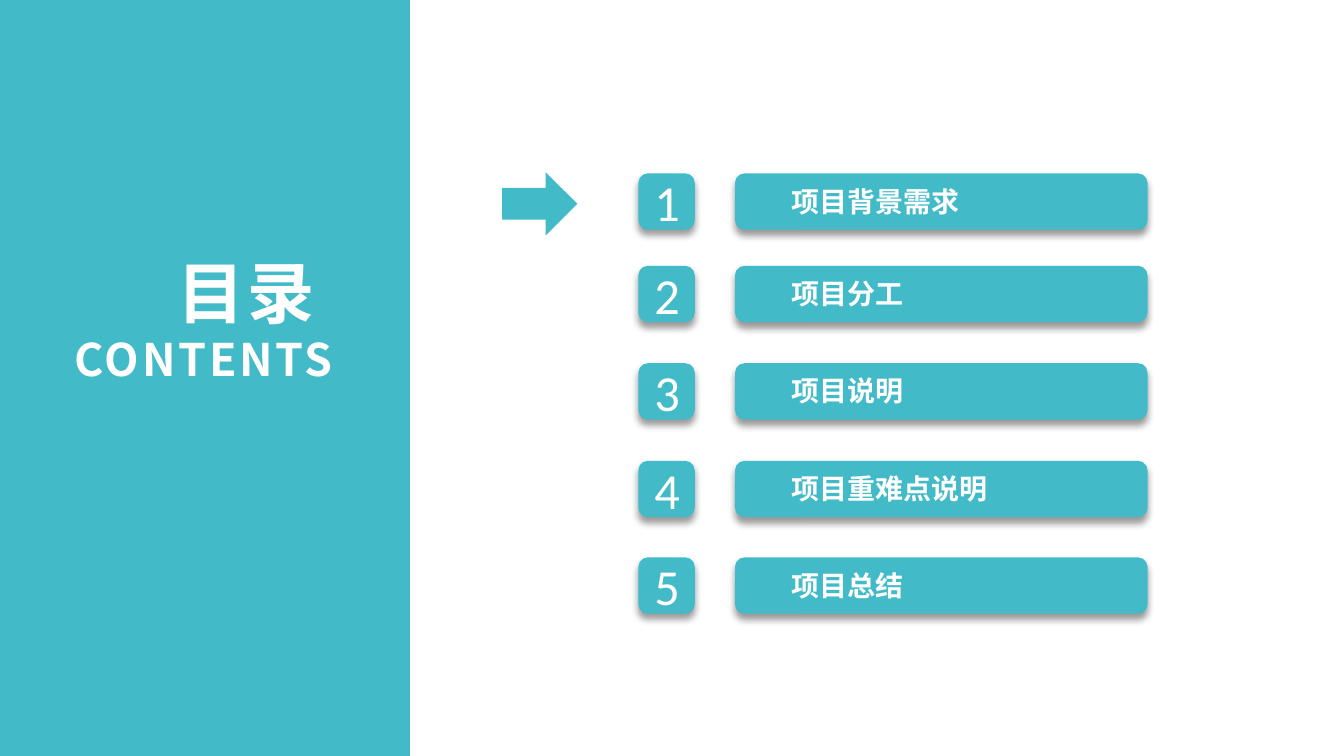
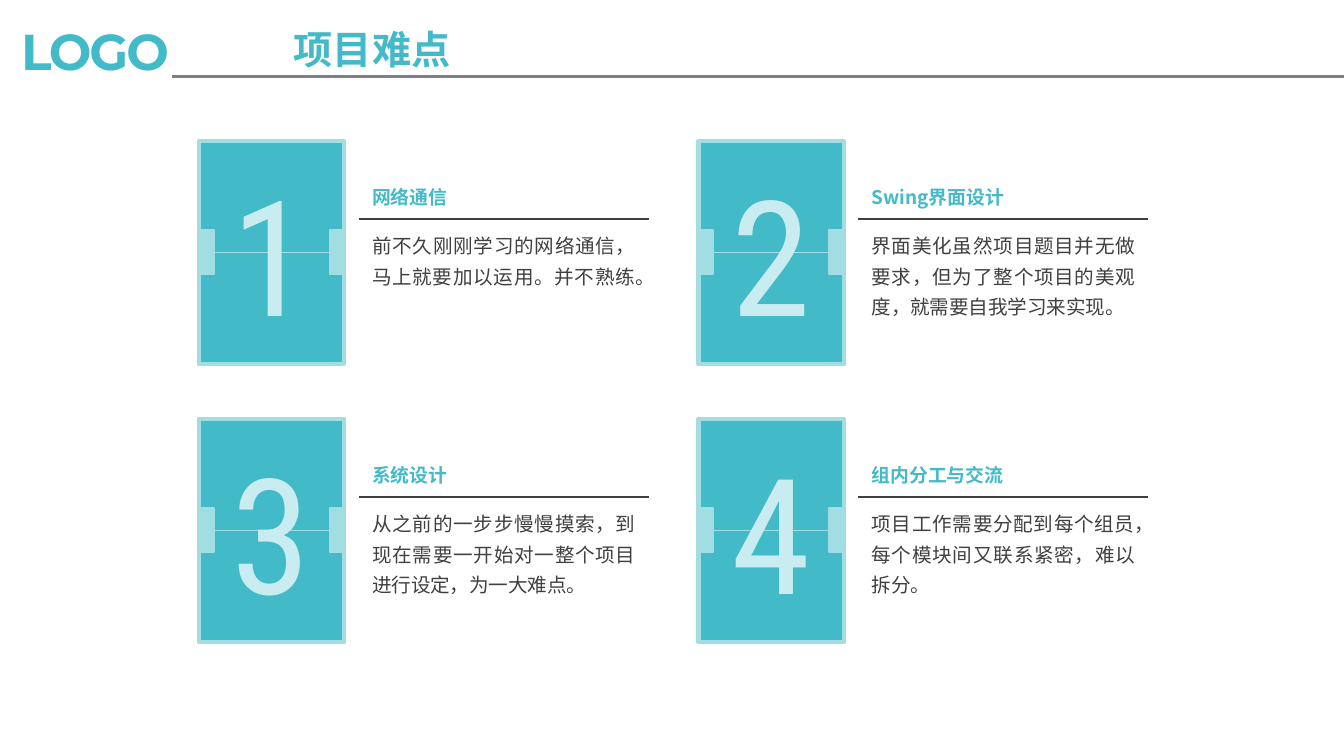
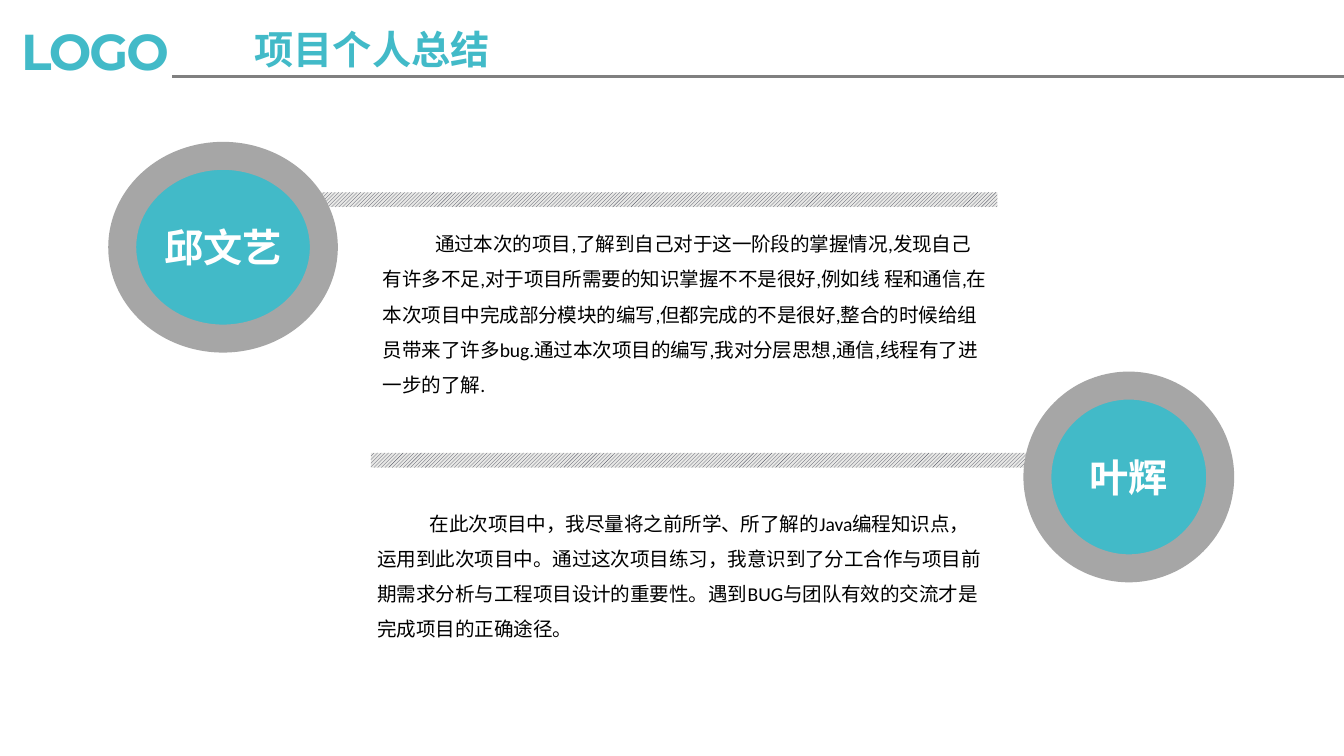
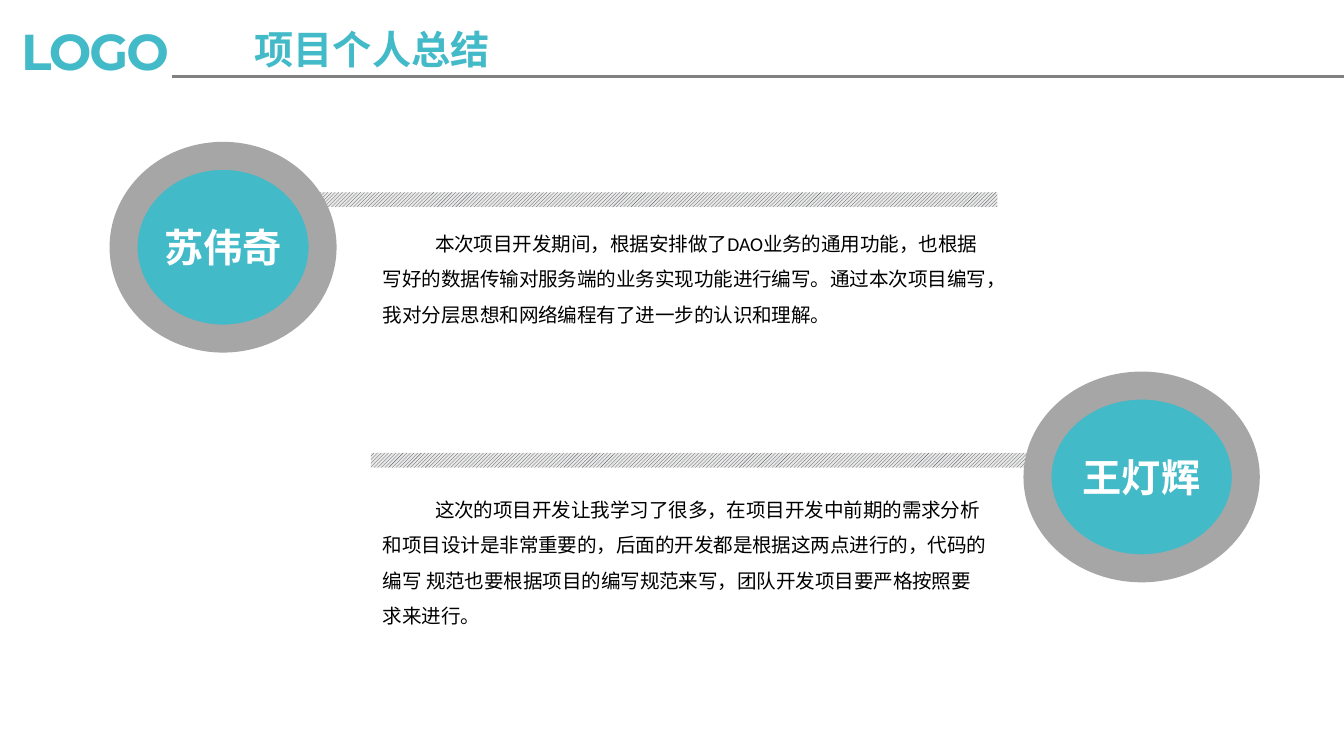
from lxml import etree
from pptx import Presentation
from pptx import util as u
from pptx.dml.color import RGBColor
from pptx.enum import dml, shapes, text
from pptx.oxml.ns import qn

COLORS = {
    "teal": "42BAC8", "heading": "44BAC8", "pale": "A1DDE3", "digit": "C8ECF0",
    "white": "FFFFFF", "black": "000000", "dark": "404040", "rule": "808080",
    "ring": "A6A6A6", "hatch": "414455", "hatch_back": "E8E8E6",
}
SANS = "Noto Sans CJK SC"
KIND = shapes.MSO_SHAPE
LINE = shapes.MSO_CONNECTOR.STRAIGHT
ALIGN = text.PP_ALIGN


def draw(slide, kind, box, fill=None, line=None, line_width=1):
    """Add a preset shape, a line (LINE) or a text box (None) at left, top, width, height."""
    left, top, width, height = [u.Pt(value) for value in box]
    if kind is None:
        return slide.shapes.add_textbox(left, top, width, height)
    if kind is LINE:
        shape = slide.shapes.add_connector(LINE, left, top, left + width, top + height)
    else:
        shape = slide.shapes.add_shape(kind, left, top, width, height)
        shape.shadow.inherit = False
        if fill:
            shape.fill.solid()
            shape.fill.fore_color.rgb = RGBColor.from_string(COLORS[fill])
    if line:
        shape.line.color.rgb = RGBColor.from_string(COLORS[line])
        shape.line.width = u.Pt(line_width)
    else:
        shape.line.fill.background()
    if kind is LINE:
        etree.SubElement(shape._element.spPr, qn("a:effectLst"))
    return shape


def write(shape, content, sizes, color, font=SANS, bold=False, align=ALIGN.LEFT,
          line_spacing=None, letter_spacing=None):
    """Fill a shape with text, one size per paragraph."""
    frame = shape.text_frame
    frame.word_wrap = True
    frame.text = content
    for paragraph, size in zip(frame.paragraphs, sizes):
        paragraph.alignment = align
        paragraph.line_spacing = line_spacing
        for run in paragraph.runs:
            run.font.size = u.Pt(size)
            run.font.bold = bold
            run.font.color.rgb = RGBColor.from_string(COLORS[color])
            run.font.name = font
            properties = run._r.get_or_add_rPr()
            etree.SubElement(properties, qn("a:ea")).set("typeface", SANS)
            if letter_spacing:
                properties.set("spc", str(round(letter_spacing * 100)))
    return frame


presentation = Presentation()
presentation.slide_width = u.Pt(720)
presentation.slide_height = u.Pt(405)
blank = presentation.slide_layouts[6]

# Contents slide: side panel and arrow
slide = presentation.slides.add_slide(blank)
draw(slide, KIND.RECTANGLE, (0, 0, 219.6, 405), "teal")
write(draw(slide, None, (20, 131, 165.6, 80)), "目录 \nCONTENTS", (36, 24), "white",
      bold=True, align=ALIGN.RIGHT, letter_spacing=1.5)
draw(slide, KIND.RIGHT_ARROW, (269, 92.2, 40.3, 34), "teal")

# Contents slide: numbered entries
entries = [("项目背景需求", 92.9), ("项目分工", 142.4), ("项目说明", 194.6),
           ("项目重难点说明", 246.9), ("项目总结", 298.6)]
for number, (label, top) in enumerate(entries, 1):
    badge = draw(slide, KIND.ROUNDED_RECTANGLE, (342, top, 30.2, 30.2), "teal")
    bar = draw(slide, KIND.ROUNDED_RECTANGLE, (393.8, top, 221, 30.2), "teal")
    for shape in (badge, bar):
        effects = shape._element.spPr.find(qn("a:effectLst"))
        shadow = etree.SubElement(effects, qn("a:outerShdw"), blurRad=str(u.Pt(4)),
                                  dist=str(u.Pt(3)), dir="5400000", rotWithShape="0")
        shadow_color = etree.SubElement(shadow, qn("a:srgbClr"), val=COLORS["black"])
        etree.SubElement(shadow_color, qn("a:alpha"), val="40000")
    write(badge, str(number), (27,), "white", "Calibri", align=ALIGN.CENTER)
    write(draw(slide, None, (416.9, top + 2.2, 161, 25.2)), label, (15,), "white", bold=True)

# Header shared by the content slides
content_slides = []
for title in ("项目难点", "项目个人总结", "项目个人总结"):
    slide = presentation.slides.add_slide(blank)
    write(draw(slide, None, (4.3, 7.2, 100.8, 40.3)), "LOGO", (27,), "teal", "Montserrat",
          bold=True, letter_spacing=-1.1)
    draw(slide, LINE, (92.2, 41, 627.8, 0), line="rule", line_width=2)
    write(draw(slide, None, (102.2, 10.1, 194.4, 32.4)), title, (21,), "teal", bold=True,
          align=ALIGN.CENTER)
    content_slides.append(slide)

# Difficulties: two by two grid of flip cards
difficulties = [
    ("网络通信", "前不久刚刚学习的网络通信，马上就要加以运用。并不熟练。"),
    ("Swing界面设计", "界面美化虽然项目题目并无做要求，但为了整个项目的美观度，就需要自我学习来实现。"),
    ("系统设计", "从之前的一步步慢慢摸索，到现在需要一开始对一整个项目进行设定，为一大难点。"),
    ("组内分工与交流", "项目工作需要分配到每个组员，每个模块间又联系紧密，难以拆分。"),
]
slide = content_slides[0]
for index, (heading, body) in enumerate(difficulties):
    row, column = divmod(index, 2)
    left, top = 106.6 + column * 267.6, 75.6 + row * 149
    draw(slide, KIND.RECTANGLE, (left, top, 77.8, 119.5), "teal", "pale", 2.25)
    for hinge_left in (left, left + 69.9):
        draw(slide, KIND.RECTANGLE, (hinge_left, top + 47.5, 7.9, 23.8), "pale", "pale")
    draw(slide, LINE, (left + 7.9, top + 59.5, 62, 0), line="pale", line_width=0.5)
    write(draw(slide, None, (left, top + 4.3, 77.8, 111.6)), str(index + 1), (86.2,), "digit",
          "Roboto Condensed", align=ALIGN.CENTER)

    text_left = left + 85.7
    draw(slide, LINE, (text_left, top + 41.7, 155.2, 0), line="dark")
    frame = write(draw(slide, None, (text_left, top + 21.6, 128.9, 18)), heading, (10.1,),
                  "heading", bold=True, align=ALIGN.JUSTIFY, line_spacing=0.9)
    frame.paragraphs[0].space_before = u.Pt(7.5)
    write(draw(slide, None, (text_left, top + 42.5, 155.5, 56.9)), body, (10.5,), "dark",
          align=ALIGN.JUSTIFY, line_spacing=1.3)

# Personal summaries: name, ellipse left and width, text left, top and height, text
summaries = [
    [("邱文艺", 65.5, 108, 198, 114.5, 100.8,
      "通过本次的项目,了解到自己对于这一阶段的掌握情况,发现自己有许多不足,对于项目所需要的知识掌握不不是很好,"
      "例如线 程和通信,在本次项目中完成部分模块的编写,但都完成的不是很好,整合的时候给组员带来了许多bug."
      "通过本次项目的编写,我对分层思想,通信,线程有了进一步的了解."),
     ("叶辉", 555.8, 97.9, 195.1, 264.2, 81.4,
      "在此次项目中，我尽量将之前所学、所了解的Java编程知识点，运用到此次项目中。通过这次项目练习，"
      "我意识到了分工合作与项目前期需求分析与工程项目设计的重要性。遇到BUG与团队有效的交流才是完成项目的正确途径。")],
    [("苏伟奇", 66.2, 106.6, 198, 114.5, 61.9,
      "本次项目开发期间，根据安排做了DAO业务的通用功能，也根据写好的数据传输对服务端的业务实现功能进行编写。"
      "通过本次项目编写，我对分层思想和网络编程有了进一步的认识和理解。"),
     ("王灯辉", 555.8, 111.6, 198, 257, 81.4,
      "这次的项目开发让我学习了很多，在项目开发中前期的需求分析和项目设计是非常重要的，"
      "后面的开发都是根据这两点进行的，代码的编写 规范也要根据项目的编写规范来写，团队开发项目要严格按照要求来进行。")],
]
band_positions = [(164.2, 103), (198.7, 242.6)]
ellipse_tops = [83.5, 206.6]
for slide, people in zip(content_slides[1:], summaries):
    for person, (band_left, band_top), ellipse_top in zip(people, band_positions, ellipse_tops):
        name, ellipse_left, ellipse_width, text_left, text_top, text_height, summary = person

        # Hatched band behind the name
        band = draw(slide, KIND.RECTANGLE, (band_left, band_top, 370.1, 7.9))
        band.fill.patterned()
        band.fill.pattern = dml.MSO_PATTERN.LIGHT_UPWARD_DIAGONAL
        band.fill.fore_color.rgb = RGBColor.from_string(COLORS["hatch"])
        band.fill.back_color.rgb = RGBColor.from_string(COLORS["hatch_back"])

        # Ringed name
        ellipse = draw(slide, KIND.OVAL, (ellipse_left, ellipse_top, ellipse_width, 97.9),
                       "teal", "ring", 15)
        frame = write(ellipse, name, (21,), "white", bold=True, align=ALIGN.CENTER)
        frame.margin_left = frame.margin_right = u.Pt(5)
        frame.margin_top = frame.margin_bottom = u.Pt(3)

        # Summary with an indented first line
        frame = write(draw(slide, None, (text_left, text_top, 339.1, text_height)), summary,
                      (10.5,), "black", "Calibri", line_spacing=1.5)
        frame.paragraphs[0]._p.get_or_add_pPr().set("indent", str(u.Pt(28)))

presentation.save("out.pptx")
